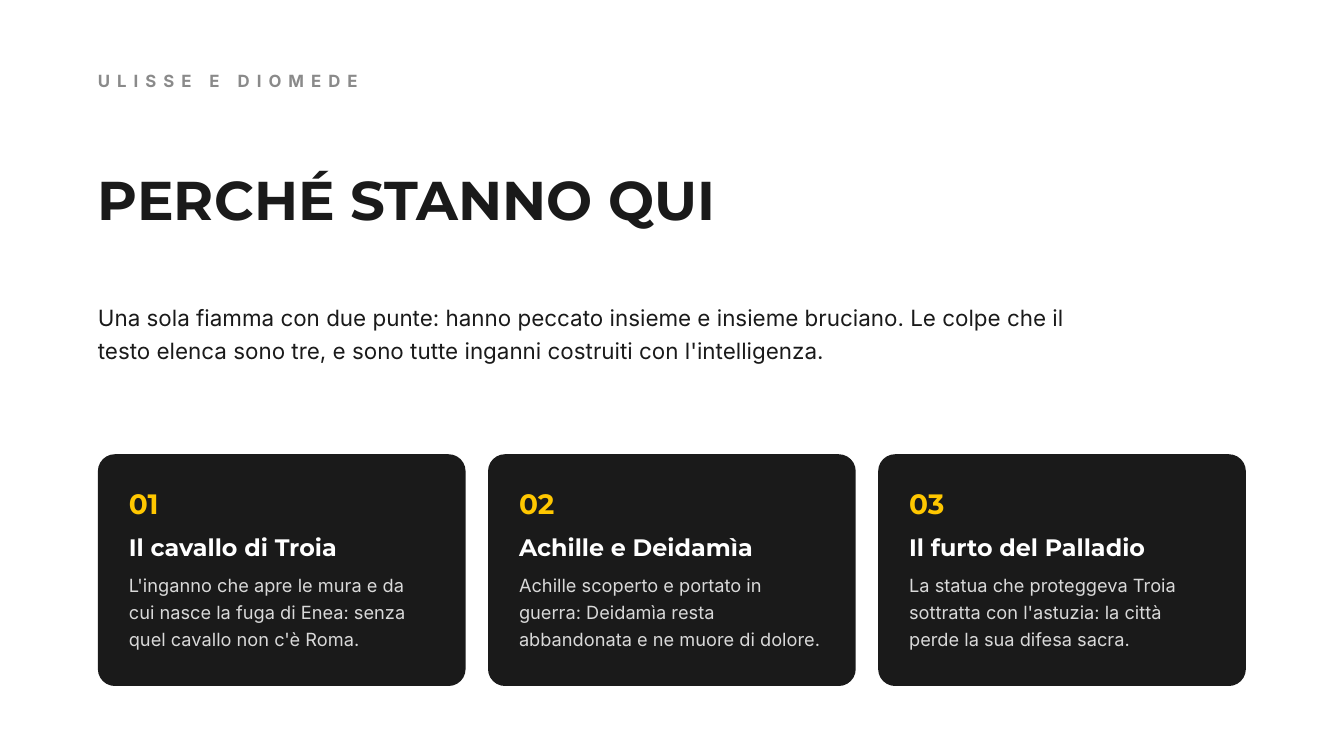
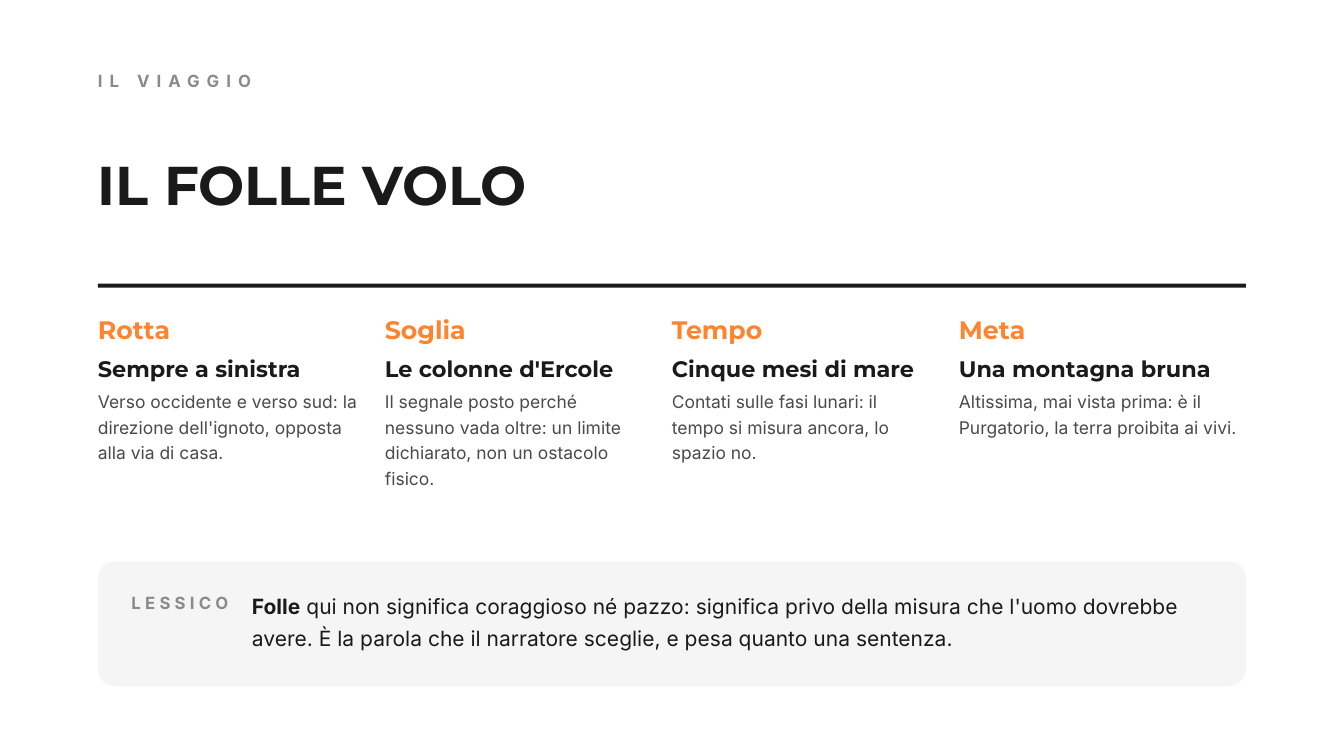
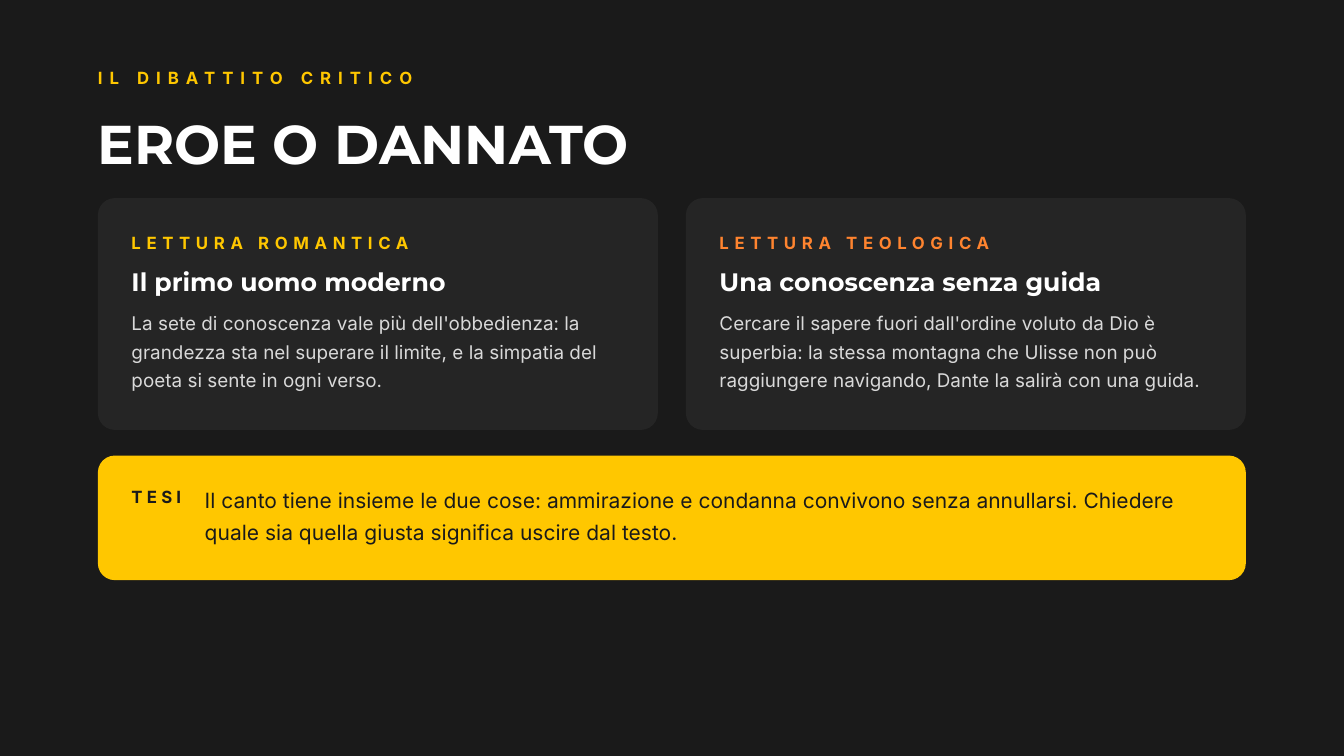
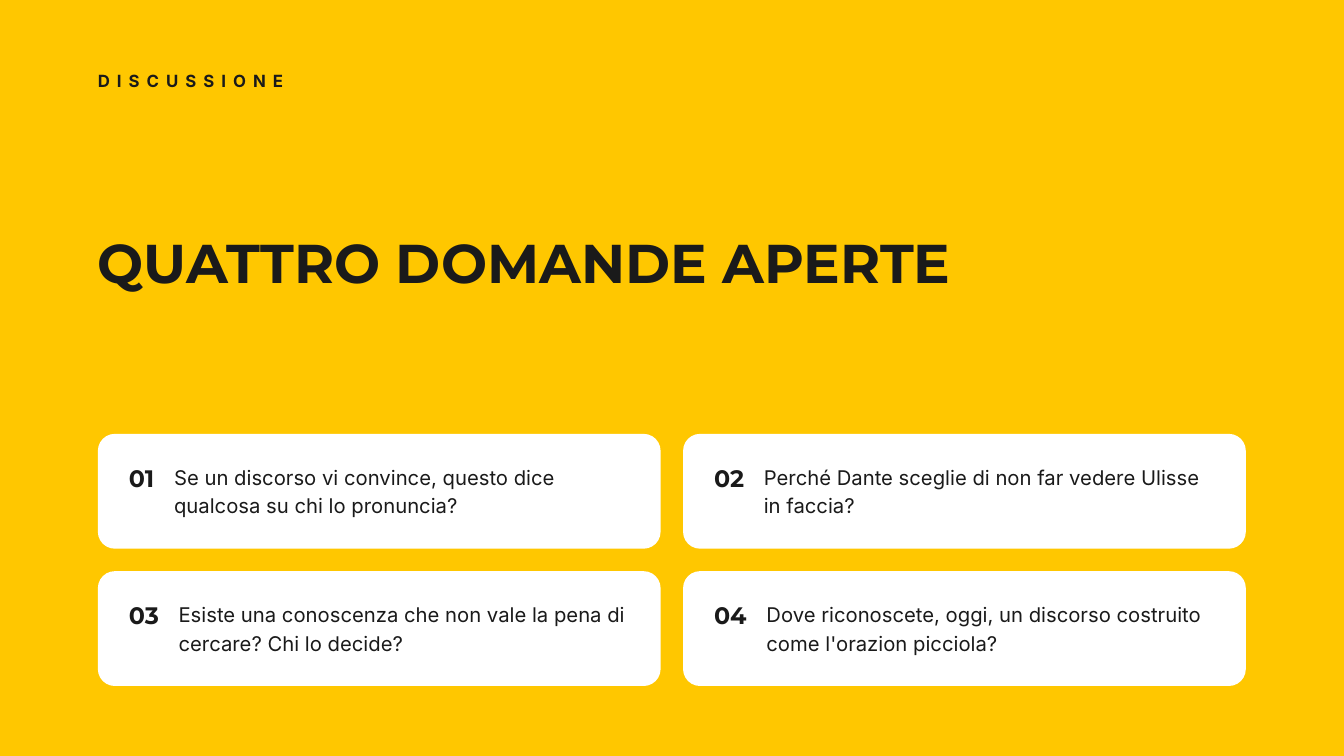
import pptx
import pptx.dml.color
import pptx.enum.shapes
import pptx.enum.text
import pptx.util

Cm = pptx.util.Cm
Pt = pptx.util.Pt

COLORS = {
    "ink": "1A1A1A",
    "panel": "252525",
    "body": "4A4A4A",
    "muted": "8A8A8A",
    "pale": "D9D9D9",
    "mist": "F5F5F5",
    "white": "FFFFFF",
    "yellow": "FFC700",
    "orange": "FF842F",
}

# Font, size, bold, line height and letter spacing, all in points
STYLES = {
    "section": ("Inter", 18, True, 25.2, 7.5),
    "title": ("Montserrat", 58.5, True, 58.5, 0),
    "intro": ("Inter", 24, False, 36, 0),
    "fault number": ("Montserrat", 30, True, 42, 0),
    "fault name": ("Montserrat", 25.5, True, 30.6, 0),
    "fault text": ("Inter", 19.5, False, 29.25, 0),
    "stage": ("Montserrat", 27, True, 37.8, 0),
    "stage name": ("Montserrat", 24, True, 28.8, 0),
    "stage text": ("Inter", 18.75, False, 27.2, 0),
    "reading": ("Inter", 18, True, 25.2, 6),
    "reading name": ("Montserrat", 27, True, 33.75, 0),
    "reading text": ("Inter", 20.25, False, 30.4, 0),
    "tag": ("Inter", 18, True, 25.2, 4.5),
    "note": ("Inter", 22.5, False, 33.75, 0),
    "question number": ("Montserrat", 25.5, True, 35.7, 0),
    "question": ("Inter", 21.75, False, 30.4, 0),
}
UNWRAPPED = ("tag", "question number")

MARGIN = 3.7
CONTENT_WIDTH = 43.39
CARD_GAP = 0.85
CARD_PADDING = 1.17
WIDE_PADDING = 1.27
TAG_GAP = 0.74


def add_text(slide, style, color, text, left, top, width, height, lead=""):
    """Write text in a named style, with an optional bold lead before it."""
    font_name, size, bold, line_height, spacing = STYLES[style]
    if style == "title":
        shape = slide.shapes.title
        shape.left, shape.top, shape.width, shape.height = Cm(left), Cm(top), Cm(width), Cm(height)
    else:
        shape = slide.shapes.add_textbox(Cm(left), Cm(top), Cm(width), Cm(height))
    frame = shape.text_frame
    frame.margin_left = frame.margin_top = frame.margin_right = frame.margin_bottom = 0
    frame.word_wrap = style not in UNWRAPPED
    frame.auto_size = pptx.enum.text.MSO_AUTO_SIZE.NONE
    frame.vertical_anchor = pptx.enum.text.MSO_ANCHOR.TOP
    paragraph = frame.paragraphs[0]
    paragraph.alignment = pptx.enum.text.PP_ALIGN.LEFT
    paragraph.line_spacing = Pt(line_height)
    paragraph.text = lead or text
    if lead:
        paragraph.add_run().text = text
    for index, run in enumerate(paragraph.runs):
        run.font.name = font_name
        run.font.size = Pt(size)
        run.font.bold = bold or (bool(lead) and index == 0)
        run.font.color.rgb = pptx.dml.color.RGBColor.from_string(COLORS[color])
        if spacing:
            run._r.get_or_add_rPr().set("spc", str(int(spacing * 100)))


def add_panel(slide, color, left, top, width, height, radius=0.64):
    kinds = pptx.enum.shapes.MSO_SHAPE
    kind = kinds.ROUNDED_RECTANGLE if radius else kinds.RECTANGLE
    shape = slide.shapes.add_shape(kind, Cm(left), Cm(top), Cm(width), Cm(height))
    if radius:
        shape.adjustments[0] = radius / min(width, height)
    shape.shadow.inherit = False
    shape.fill.solid()
    shape.fill.fore_color.rgb = pptx.dml.color.RGBColor.from_string(COLORS[color])
    shape.line.fill.background()


presentation = pptx.Presentation()
presentation.slide_width = Cm(50.8)
presentation.slide_height = Cm(28.575)

# Background, section label and title of every slide
headings = [
    ("white", "muted", "ULISSE E DIOMEDE", 2.54, "ink", "PERCHÉ STANNO QUI", 6.68),
    ("white", "muted", "IL VIAGGIO", 2.54, "ink", "IL FOLLE VOLO", 6.12),
    ("ink", "yellow", "IL DIBATTITO CRITICO", 2.43, "white", "EROE O DANNATO", 4.55),
    ("yellow", "ink", "DISCUSSIONE", 2.54, "ink", "QUATTRO DOMANDE APERTE", 9.07),
]
slides = []
for background, section_color, section, section_top, title_color, title, title_top in headings:
    slide = presentation.slides.add_slide(presentation.slide_layouts[5])
    slide.background.fill.solid()
    slide.background.fill.fore_color.rgb = pptx.dml.color.RGBColor.from_string(COLORS[background])
    add_text(slide, "section", section_color, section, MARGIN, section_top, CONTENT_WIDTH, 0.86)
    add_text(slide, "title", title_color, title, MARGIN, title_top, CONTENT_WIDTH, 1.78)
    slides.append(slide)
faults_slide, voyage_slide, debate_slide, questions_slide = slides

# Slide 1: the three faults
add_text(
    faults_slide, "intro", "ink",
    "Una sola fiamma con due punte: hanno peccato insieme e insieme bruciano. "
    "Le colpe che il testo elenca sono tre, e sono tutte inganni costruiti con l'intelligenza.",
    MARGIN, 11.23, 37.57, 2.74,
)
faults = [
    ("Il cavallo di Troia",
     "L'inganno che apre le mura e da cui nasce la fuga di Enea: senza quel cavallo non c'è Roma."),
    ("Achille e Deidamìa",
     "Achille scoperto e portato in guerra: Deidamìa resta abbandonata e ne muore di dolore."),
    ("Il furto del Palladio",
     "La statua che proteggeva Troia sottratta con l'astuzia: la città perde la sua difesa sacra."),
]
card_width = (CONTENT_WIDTH - 2 * CARD_GAP) / 3
text_width = card_width - 2 * CARD_PADDING
for index, (name, text) in enumerate(faults):
    left = MARGIN + index * (card_width + CARD_GAP)
    text_left = left + CARD_PADDING
    add_panel(faults_slide, "ink", left, 17.17, card_width, 8.76)
    add_text(faults_slide, "fault number", "yellow", f"{index + 1:02}", text_left, 18.19, text_width, 1.45)
    add_text(faults_slide, "fault name", "white", name, text_left, 20.12, text_width, 1.07)
    add_text(faults_slide, "fault text", "pale", text, text_left, 21.49, text_width, 3.28)

# Slide 2: the four stages under a rule
add_panel(voyage_slide, "ink", MARGIN, 10.72, CONTENT_WIDTH, 0.15, radius=0)
stages = [
    ("Rotta", "Sempre a sinistra",
     "Verso occidente e verso sud: la direzione dell'ignoto, opposta alla via di casa."),
    ("Soglia", "Le colonne d'Ercole",
     "Il segnale posto perché nessuno vada oltre: un limite dichiarato, non un ostacolo fisico."),
    ("Tempo", "Cinque mesi di mare",
     "Contati sulle fasi lunari: il tempo si misura ancora, lo spazio no."),
    ("Meta", "Una montagna bruna",
     "Altissima, mai vista prima: è il Purgatorio, la terra proibita ai vivi."),
]
column_pitch = CONTENT_WIDTH / len(stages)
for index, (stage, name, text) in enumerate(stages):
    left = MARGIN + index * column_pitch
    is_last = index == len(stages) - 1
    width = column_pitch if is_last else column_pitch - 0.94
    add_text(voyage_slide, "stage", "orange", stage, left, 11.71, width, 1.3)
    add_text(voyage_slide, "stage name", "ink", name, left, 13.41, width, 0.99)
    add_text(voyage_slide, "stage text", "body", text, left, 14.63, width, 3.96)

# Slide 3: the two readings
readings = [
    ("yellow", "LETTURA ROMANTICA", "Il primo uomo moderno",
     "La sete di conoscenza vale più dell'obbedienza: la grandezza sta nel superare il limite, "
     "e la simpatia del poeta si sente in ogni verso."),
    ("orange", "LETTURA TEOLOGICA", "Una conoscenza senza guida",
     "Cercare il sapere fuori dall'ordine voluto da Dio è superbia: la stessa montagna che Ulisse "
     "non può raggiungere navigando, Dante la salirà con una guida."),
]
reading_gap = 1.06
card_width = (CONTENT_WIDTH - reading_gap) / 2
text_width = card_width - 2 * WIDE_PADDING
for index, (color, reading, name, text) in enumerate(readings):
    left = MARGIN + index * (card_width + reading_gap)
    text_left = left + WIDE_PADDING
    add_panel(debate_slide, "panel", left, 7.49, card_width, 8.76)
    add_text(debate_slide, "reading", color, reading, text_left, 8.66, text_width, 0.86)
    add_text(debate_slide, "reading name", "white", name, text_left, 10.03, text_width, 1.22)
    add_text(debate_slide, "reading text", "pale", text, text_left, 11.58, text_width, 3.4)

# Slides 2 and 3: the note at the foot
notes = [
    (voyage_slide, 21.22, "mist", "muted", "LESSICO", 3.81, "Folle",
     " qui non significa coraggioso né pazzo: significa privo della misura che l'uomo dovrebbe avere. "
     "È la parola che il narratore sceglie, e pesa quanto una sentenza."),
    (debate_slide, 17.22, "yellow", "ink", "TESI", 2.03, "",
     "Il canto tiene insieme le due cose: ammirazione e condanna convivono senza annullarsi. "
     "Chiedere quale sia quella giusta significa uscire dal testo."),
]
for slide, top, fill, tag_color, tag, tag_width, lead, text in notes:
    tag_left = MARGIN + WIDE_PADDING
    text_left = tag_left + tag_width + TAG_GAP
    text_width = MARGIN + CONTENT_WIDTH - WIDE_PADDING - text_left
    add_panel(slide, fill, MARGIN, top, CONTENT_WIDTH, 4.71)
    add_text(slide, "tag", tag_color, tag, tag_left, top + 1.06, tag_width, 1.04)
    add_text(slide, "note", "ink", text, text_left, top + 0.98, text_width, 2.57, lead)

# Slide 4: the four questions, two by two
questions = [
    (0.97, "Se un discorso vi convince, questo dice qualcosa su chi lo pronuncia?"),
    (1.14, "Perché Dante sceglie di non far vedere Ulisse in faccia?"),
    (1.14, "Esiste una conoscenza che non vale la pena di cercare? Chi lo decide?"),
    (1.24, "Dove riconoscete, oggi, un discorso costruito come l'orazion picciola?"),
]
card_width = (CONTENT_WIDTH - CARD_GAP) / 2
card_height = 4.34
for index, (number_width, question) in enumerate(questions):
    row, column = divmod(index, 2)
    left = MARGIN + column * (card_width + CARD_GAP)
    top = 16.4 + row * (card_height + CARD_GAP)
    number_left = left + CARD_PADDING
    text_left = number_left + number_width + TAG_GAP
    text_width = left + card_width - CARD_PADDING - text_left
    add_panel(questions_slide, "white", left, top, card_width, card_height)
    add_text(questions_slide, "question number", "ink", f"{index + 1:02}",
             number_left, top + 0.93, number_width, 1.24)
    add_text(questions_slide, "question", "ink", question, text_left, top + 1.03, text_width, 2.26)

presentation.save("out.pptx")
